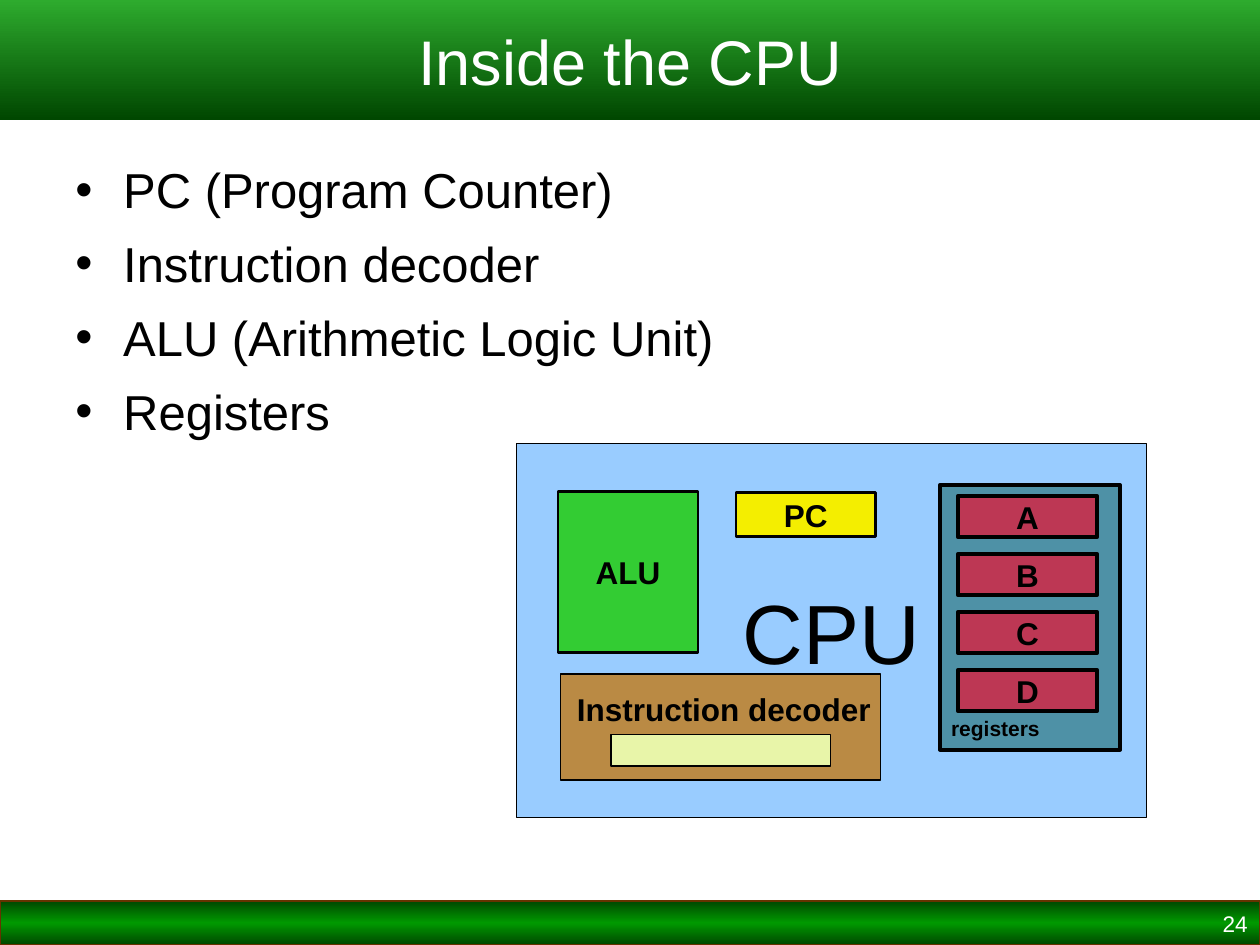
from lxml import etree
from pptx import Presentation
from pptx.dml.color import RGBColor
from pptx.enum.shapes import MSO_SHAPE
from pptx.enum.text import MSO_ANCHOR, PP_ALIGN
from pptx.oxml.ns import qn
from pptx.util import Inches, Pt

COLORS = {
    "black": "000000", "white": "FFFFFF", "cpu": "99CCFF", "counter": "F4EE00",
    "alu": "33CC33", "register_bank": "4E91A6", "register": "BD3754",
    "decoder": "BA8A44", "instruction": "E8F5A9", "footer_line": "663300",
    "dark_green": "004700", "green": "009900", "light_green": "2EAB2E",
}
FONT = "Arial"
TITLE = "Inside the CPU"
PAGE_NUMBER = "24"
BULLETS = ["PC (Program Counter)", "Instruction decoder",
           "ALU (Arithmetic Logic Unit)", "Registers"]

# Box, fill, line width, text, text size, bold; from back to front
BLOCKS = [
    ((4.1, 3.52, 5, 2.97), "cpu", 0.75, "CPU", 48, False),
    ((5.84, 3.91, 1.11, 0.35), "counter", 1.5, "PC", 18, True),
    ((4.43, 3.9, 1.11, 1.28), "alu", 1.5, "ALU", 18, True),
    ((7.46, 3.85, 1.43, 2.1), "register_bank", 2.25, "", 18, True),
    ((4.45, 5.35, 2.54, 0.84), "decoder", 0.75, "", 18, True),
    ((4.85, 5.83, 1.74, 0.25), "instruction", 0.75, "", 18, True),
]
REGISTERS = "ABCD"
REGISTER_BOX = (7.6, 3.94, 1.11, 0.32)
REGISTER_PITCH = 0.46
LABELS = [
    ((7.45, 5.63, 1.41, 0.3), "registers", 12, PP_ALIGN.LEFT),
    ((4.44, 5.43, 2.61, 0.4), "Instruction decoder", 18, PP_ALIGN.CENTER),
]


def color(name):
    return RGBColor.from_string(COLORS[name])


def add_run(paragraph, text, size, color_name="black", bold=False):
    run = paragraph.add_run()
    run.text = text
    run.font.name = FONT
    run.font.size = Pt(size)
    run.font.bold = bold
    run.font.color.rgb = color(color_name)


def add_block(slide, box, fill, line_width, text="", size=18, bold=True,
              text_color="black", line="black"):
    shape = slide.shapes.add_shape(MSO_SHAPE.RECTANGLE, *map(Inches, box))
    shape.shadow.inherit = False
    if fill:
        shape.fill.solid()
        shape.fill.fore_color.rgb = color(fill)
    if line_width:
        shape.line.width = Pt(line_width)
        shape.line.color.rgb = color(line)
    else:
        shape.line.fill.background()
    if text:
        frame = shape.text_frame
        frame.word_wrap = False
        frame.vertical_anchor = MSO_ANCHOR.MIDDLE
        paragraph = frame.paragraphs[0]
        paragraph.alignment = PP_ALIGN.CENTER
        add_run(paragraph, text, size, text_color, bold)
    return shape


def set_vertical_gradient(shape, names):
    shape.fill.gradient()
    shape.fill.gradient_angle = 270
    stops = shape.fill._fill._gradFill.find(qn("a:gsLst"))
    for stop in list(stops):
        stops.remove(stop)
    for index, name in enumerate(names):
        position = 100000 * index // (len(names) - 1)
        stop = etree.SubElement(stops, qn("a:gs"), pos=str(position))
        etree.SubElement(stop, qn("a:srgbClr"), val=COLORS[name])


def add_text_box(slide, box):
    frame = slide.shapes.add_textbox(*map(Inches, box)).text_frame
    frame.word_wrap = True
    return frame


def add_label(slide, box, text, size, alignment, color_name="black", bold=True):
    paragraph = add_text_box(slide, box).paragraphs[0]
    paragraph.alignment = alignment
    add_run(paragraph, text, size, color_name, bold)


def add_bullets(slide, box, items):
    frame = add_text_box(slide, box)
    for index, item in enumerate(items):
        paragraph = frame.add_paragraph() if index else frame.paragraphs[0]
        properties = paragraph._p.get_or_add_pPr()
        properties.set("marL", str(Inches(0.38)))
        properties.set("indent", str(-Inches(0.38)))
        etree.SubElement(properties, qn("a:buFont"), typeface=FONT)
        etree.SubElement(properties, qn("a:buChar"), char="•")
        if index:
            paragraph.space_before = Pt(8.5)
        add_run(paragraph, item, 28)


def main():
    presentation = Presentation()
    presentation.slide_width = Inches(10)
    presentation.slide_height = Inches(7.5)
    slide = presentation.slides.add_slide(presentation.slide_layouts[6])

    # Footer band and page number
    footer = add_block(slide, (0, 7.15, 10, 0.35), None, 0.75, line="footer_line")
    set_vertical_gradient(footer, ["dark_green", "green", "dark_green"])
    add_label(slide, (7.67, 7.17, 2.33, 0.33), PAGE_NUMBER, 12.9,
              PP_ALIGN.RIGHT, "white", False)

    # Title band
    title = add_block(slide, (0, 0, 10, 0.95), None, 0, TITLE, 36, False, "white")
    set_vertical_gradient(title, ["light_green", "dark_green"])

    # Bullet list
    add_bullets(slide, (0.5, 1.22, 9.13, 5.85), BULLETS)

    # CPU diagram
    for block in BLOCKS:
        add_block(slide, *block)
    left, top, width, height = REGISTER_BOX
    for index, name in enumerate(REGISTERS):
        box = (left, top + index * REGISTER_PITCH, width, height)
        add_block(slide, box, "register", 2.25, name)
    for label in LABELS:
        add_label(slide, *label)

    presentation.save("out.pptx")


if __name__ == "__main__":
    main()
